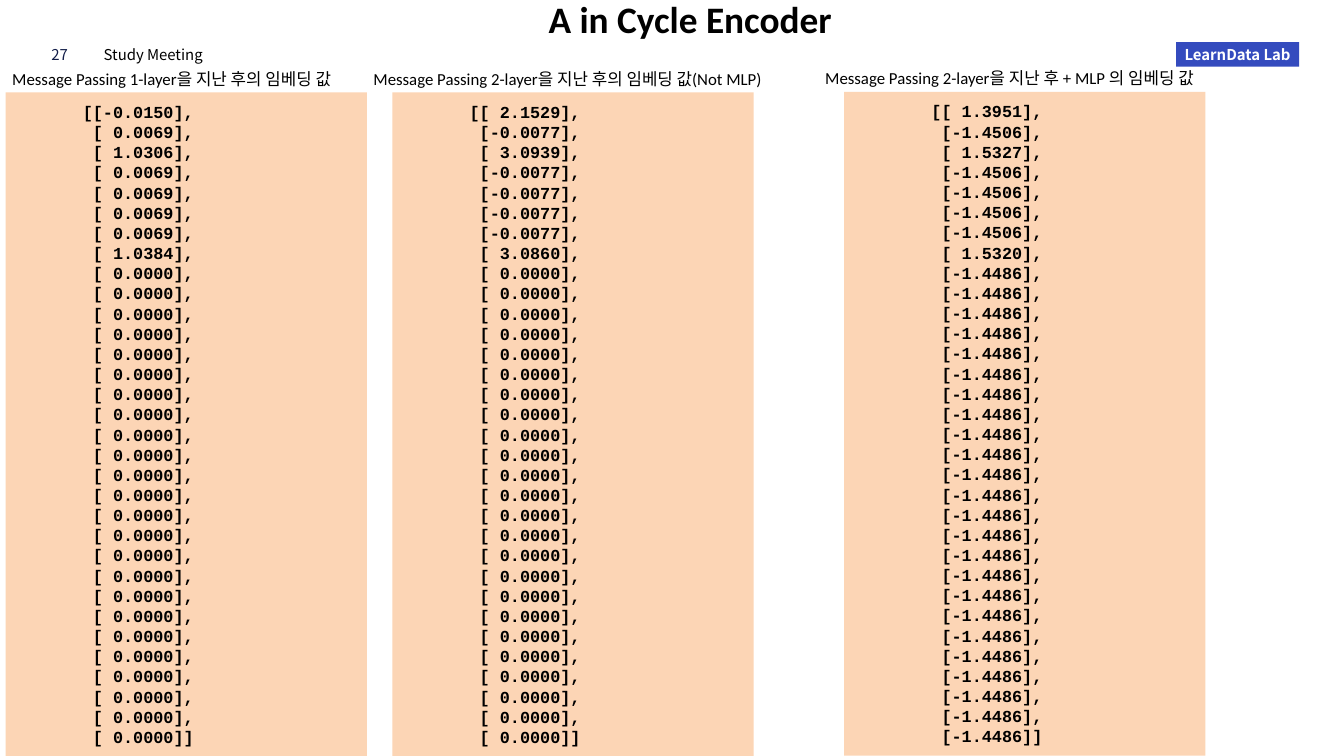
import pptx
import pptx.util
import pptx.dml.color
import pptx.enum.shapes
import pptx.enum.text

Pt = pptx.util.Pt
ALIGN = pptx.enum.text.PP_ALIGN
ANCHOR = pptx.enum.text.MSO_ANCHOR

TITLE = "A in Cycle Encoder"
COLORS = {"ink": "000000", "page": "121D49", "badge": "344BBE",
          "panel": "FCD5B5", "white": "FFFFFF"}
SANS, BODY, MONO = "Noto Sans CJK KR", "Calibri", "Courier New"

HEADS = [
    ("27", 48, 42, "page"),
    ("Study Meeting", 104, 162, "ink"),
]
PANELS = [
    {"label": "Message Passing 1-layer을 지난 후의 임베딩 값",
     "at": (6, 70.5, 425), "left": 6, "top": 99, "pad": 7,
     "vals": [-0.0150, 0.0069, 1.0306] + [0.0069] * 4 + [1.0384] + [0] * 24},
    {"label": "Message Passing 2-layer을 지난 후의 임베딩 값(Not MLP)",
     "at": (393, 70.5, 491), "left": 420.5, "top": 99, "pad": 7,
     "vals": [2.1529, -0.0077, 3.0939] + [-0.0077] * 4 + [3.0860] + [0] * 24},
    {"label": "Message Passing 2-layer을 지난 후 + MLP 의 임베딩 값",
     "at": (877, 69.5, 491), "left": 904.5, "top": 98.5, "pad": 8,
     "vals": [1.3951, -1.4506, 1.5327] + [-1.4506] * 4 + [1.5320] + [-1.4486] * 24},
]


def rgb(name):
    return pptx.dml.color.RGBColor.from_string(COLORS[name])


def write(shape, text, font, size, color="ink", bold=False, align=ALIGN.LEFT):
    frame = shape.text_frame
    frame.word_wrap = True
    frame.text = text
    for para in frame.paragraphs:
        para.alignment = align
        for run in para.runs:
            run.font.name = font
            run.font.size = Pt(size)
            run.font.bold = bold
            run.font.color.rgb = rgb(color)
    return frame


def label(slide, text, left, top, width, height, font, size, color="ink"):
    box = slide.shapes.add_textbox(Pt(left), Pt(top), Pt(width), Pt(height))
    write(box, text, font, size, color)


def block(slide, left, top, width, height, fill):
    kind = pptx.enum.shapes.MSO_SHAPE.RECTANGLE
    rect = slide.shapes.add_shape(kind, Pt(left), Pt(top), Pt(width), Pt(height))
    rect.shadow.inherit = False
    rect.fill.solid()
    rect.fill.fore_color.rgb = rgb(fill)
    rect.line.fill.background()
    return rect


def matrix(vals, pad):
    rows = [" " * (pad + 1) + f"[{val:7.4f}]," for val in vals]
    rows[0] = " " * pad + "[" + rows[0].lstrip()
    rows[-1] = rows[-1][:-1] + "]"
    return "\n".join(rows)


def main():
    deck = pptx.Presentation()
    deck.slide_width, deck.slide_height = Pt(1440), Pt(810)
    slide = deck.slides.add_slide(deck.slide_layouts[5])

    title = slide.shapes.title
    title.left, title.top, title.width, title.height = Pt(579), Pt(-8), Pt(321), Pt(55.5)
    frame = write(title, TITLE, BODY, 40, bold=True, align=ALIGN.CENTER)
    frame.word_wrap = False
    frame.vertical_anchor = ANCHOR.TOP

    for text, left, width, color in HEADS:
        label(slide, text, left, 45, width, 26.5, SANS, 16, color)
    badge = block(slide, 1260, 45, 132, 26.5, "badge")
    write(badge, "LearnData Lab", SANS, 16, "white", True, ALIGN.CENTER)

    for panel in PANELS:
        left, top, width = panel["at"]
        label(slide, panel["label"], left, top, width, 29, BODY, 18)
        rect = block(slide, panel["left"], panel["top"], 387, 711, "panel")
        frame = write(rect, matrix(panel["vals"], panel["pad"]), MONO, 18, bold=True)
        frame.vertical_anchor = ANCHOR.MIDDLE
        for para in frame.paragraphs:
            para.line_spacing = Pt(21.6)

    deck.save("out.pptx")


if __name__ == "__main__":
    main()
